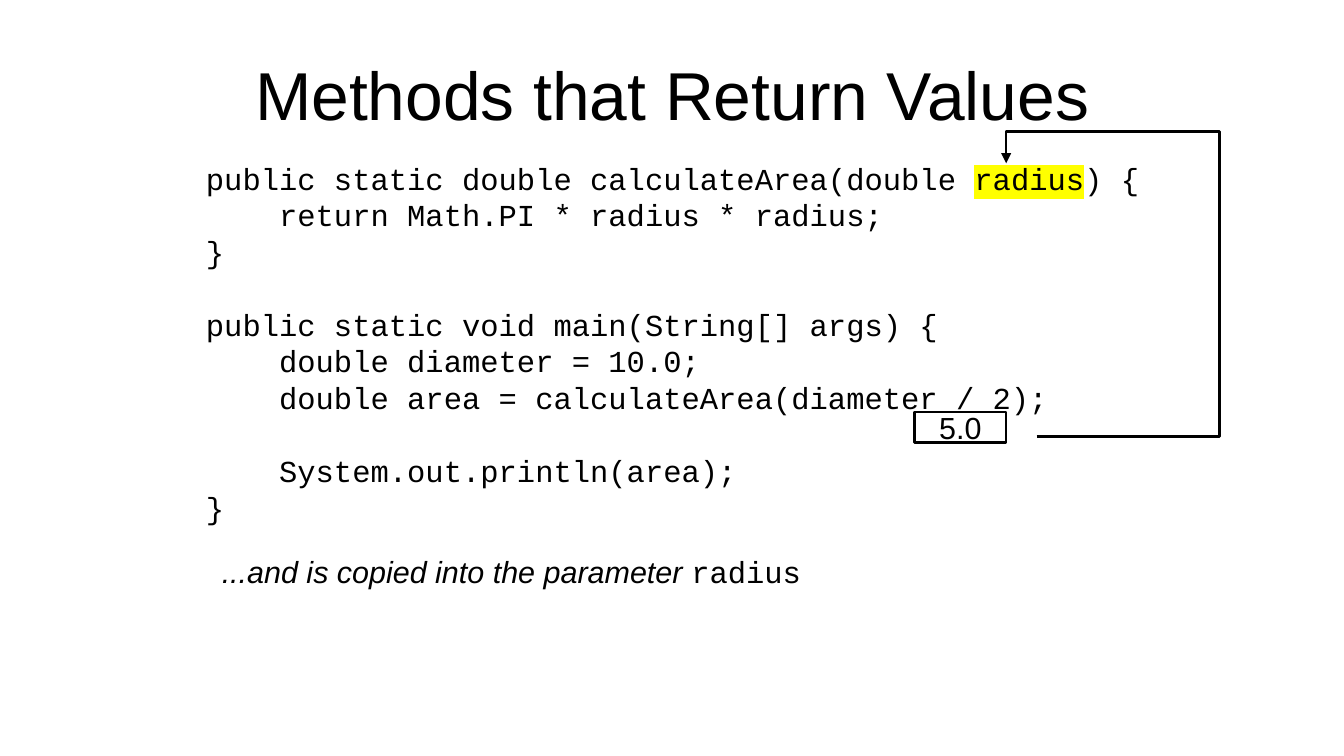
"""Builds the slide on methods that return values."""
import dataclasses
import typing

import lxml.etree
import pptx
import pptx.dml.color
import pptx.enum.shapes
import pptx.enum.text
import pptx.oxml.ns
import pptx.util

Pt = pptx.util.Pt
Inches = pptx.util.Inches
Align = pptx.enum.text.PP_ALIGN
Anchor = pptx.enum.text.MSO_ANCHOR
qn = pptx.oxml.ns.qn


@dataclasses.dataclass(frozen=True)
class Theme:
    ink: str = "000000"
    paper: str = "FFFFFF"
    mark: str = "FFFF00"
    sans: str = "Arial"
    mono: str = "Courier New"
    head: float = 40
    body: float = 18
    pitch: float = 21.6
    rule: float = 1.5


THEME = Theme()


@dataclasses.dataclass(frozen=True)
class Run:
    text: str
    font: str = THEME.sans
    size: float = THEME.body
    slant: bool = False
    mark: bool = False


@dataclasses.dataclass(frozen=True)
class Line:
    runs: tuple[Run, ...]
    gap: bool = False


@dataclasses.dataclass(frozen=True)
class Box:
    left: float
    top: float
    width: float
    height: float
    lines: tuple[Line, ...]
    align: Align = Align.LEFT
    anchor: Anchor = Anchor.TOP
    inset: tuple[float, float] = (0.1, 0.05)
    pitch: typing.Optional[float] = None
    wrap: bool = False
    frame: bool = False


def code(text: str, gap: bool = False) -> Line:
    return Line((Run(text, THEME.mono),), gap)


TITLE = Box(0.55, 0.25, 9.92, 1.04,
            (Line((Run("Methods that Return Values", size=THEME.head),)),),
            Align.CENTER, Anchor.MIDDLE, (0, 0), wrap=True)
CODE = Box(1.59, 1.26, 7.85, 3.1, (
    Line((Run("public static double calculateArea(double ", THEME.mono),
          Run("radius", THEME.mono, mark=True),
          Run(") {", THEME.mono))),
    code("    return Math.PI * radius * radius;"),
    code("}"),
    code("public static void main(String[] args) {", gap=True),
    code("    double diameter = 10.0;"),
    code("    double area = calculateArea(diameter / 2);"),
    code("    System.out.println(area);", gap=True),
    code("}"),
), pitch=THEME.pitch)
NOTE = Box(1.72, 4.49, 4.95, 0.4, (
    Line((Run("...and is copied into the parameter ", slant=True),
          Run("radius", THEME.mono))),
))
VALUE = Box(7.5, 3.38, 0.75, 0.25, (Line((Run("5.0"),)),),
            Align.CENTER, Anchor.MIDDLE, (0.11, 0.06), frame=True)
ROUTE = ((8.5, 3.58), (10, 3.58), (10, 1.08), (8.25, 1.08), (8.25, 1.34))


def rgb(code: str) -> pptx.dml.color.RGBColor:
    return pptx.dml.color.RGBColor.from_string(code)


def stroke(shape: typing.Any) -> None:
    shape.shadow.inherit = False
    shape.line.color.rgb = rgb(THEME.ink)
    shape.line.width = Pt(THEME.rule)


def add_run(para: typing.Any, item: Run) -> None:
    run = para.add_run()
    run.text = item.text
    font = run.font
    font.name, font.size, font.italic = item.font, Pt(item.size), item.slant
    font.color.rgb = rgb(THEME.ink)
    if item.mark:
        tint = lxml.etree.Element(qn("a:highlight"))
        lxml.etree.SubElement(tint, qn("a:srgbClr"), val=THEME.mark)
        run._r.rPr.find(qn("a:latin")).addprevious(tint)


def add_box(slide: typing.Any, box: Box) -> None:
    place = [Inches(n) for n in (box.left, box.top, box.width, box.height)]
    if box.frame:
        shape = slide.shapes.add_shape(
            pptx.enum.shapes.MSO_SHAPE.RECTANGLE, *place)
        shape.fill.solid()
        shape.fill.fore_color.rgb = rgb(THEME.paper)
        stroke(shape)
    else:
        shape = slide.shapes.add_textbox(*place)
    frame = shape.text_frame
    frame.word_wrap = box.wrap
    frame.vertical_anchor = box.anchor
    frame.margin_left = frame.margin_right = Inches(box.inset[0])
    frame.margin_top = frame.margin_bottom = Inches(box.inset[1])
    for rank, line in enumerate(box.lines):
        para = frame.add_paragraph() if rank else frame.paragraphs[0]
        para.alignment = box.align
        if box.pitch:
            para.line_spacing = Pt(box.pitch)
        if line.gap:
            para.space_before = Pt(THEME.pitch)
        for item in line.runs:
            add_run(para, item)


def add_route(slide: typing.Any, spots: tuple[tuple[float, float], ...]) -> None:
    ends = [(Inches(x), Inches(y)) for x, y in spots]
    pen = slide.shapes.build_freeform(*ends[0], scale=1.0)
    pen.add_line_segments(ends[1:], close=False)
    shape = pen.convert_to_shape()
    shape.fill.background()
    stroke(shape)
    edge = shape._element.spPr.find(qn("a:ln"))
    lxml.etree.SubElement(edge, qn("a:tailEnd"), type="triangle")


def main() -> None:
    deck = pptx.Presentation()
    deck.slide_width, deck.slide_height = Inches(11.02), Inches(6.2)
    slide = deck.slides.add_slide(deck.slide_layouts[6])
    for box in (TITLE, CODE, NOTE, VALUE):
        add_box(slide, box)
    add_route(slide, ROUTE)
    deck.save("out.pptx")


if __name__ == "__main__":
    main()
